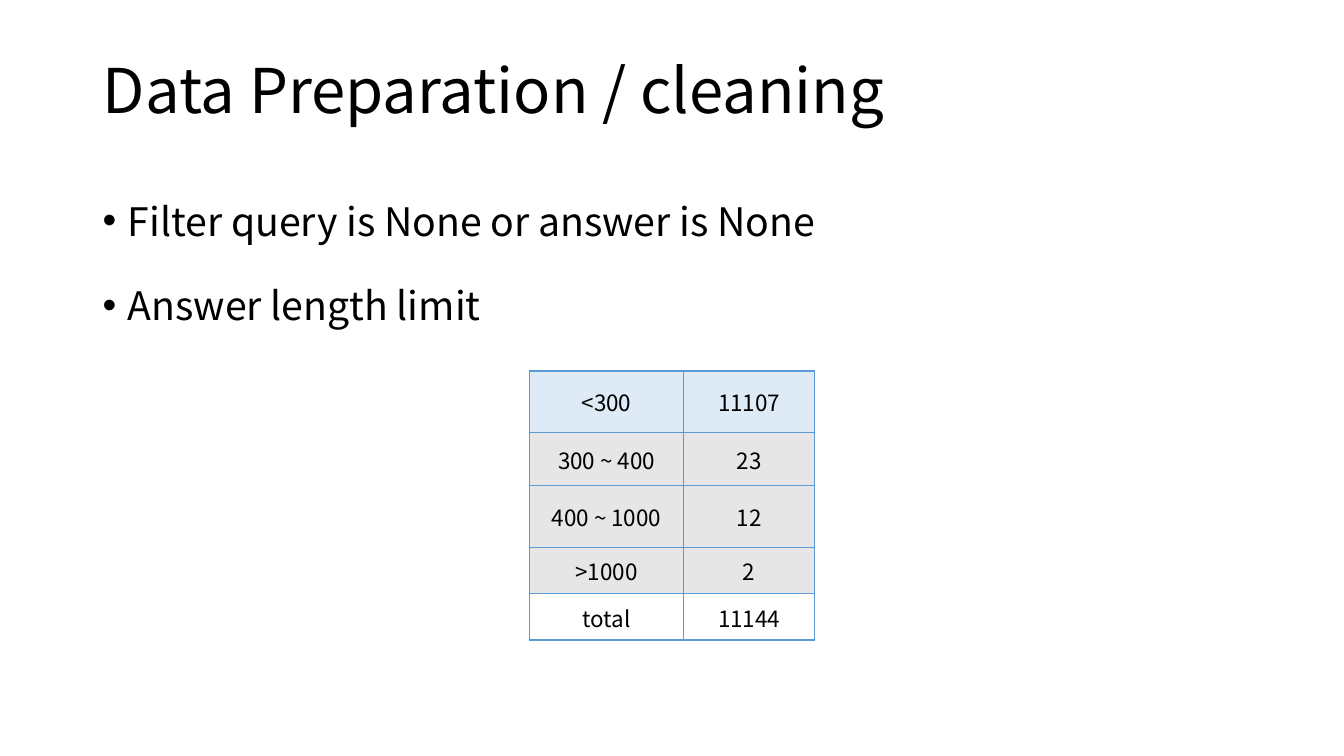
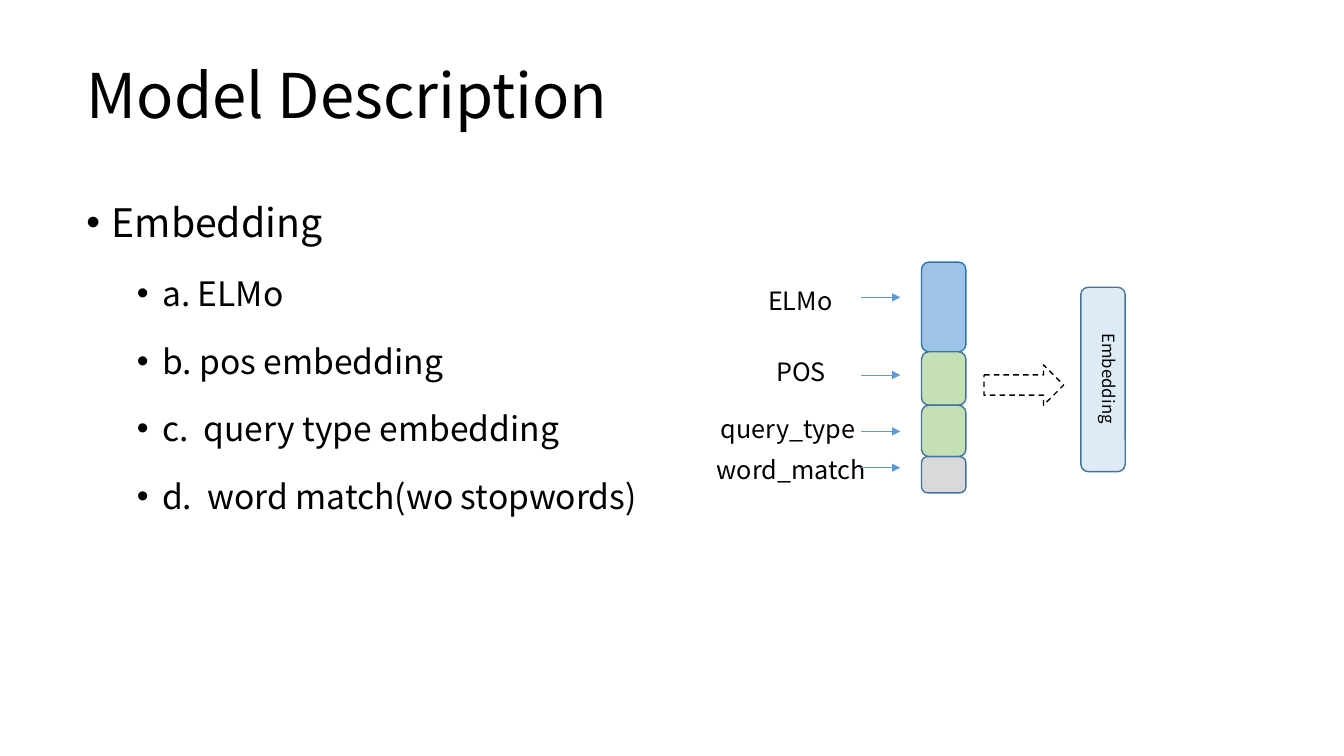
from dataclasses import dataclass
from typing import Any

from lxml.etree import SubElement
from pptx import Presentation
from pptx.dml.color import RGBColor
from pptx.enum.dml import MSO_LINE
from pptx.enum.shapes import MSO_CONNECTOR, MSO_SHAPE
from pptx.enum.text import MSO_ANCHOR, MSO_AUTO_SIZE, PP_ALIGN
from pptx.oxml import parse_xml
from pptx.oxml.ns import nsdecls, qn
from pptx.util import Inches, Pt

FONT = "Noto Sans CJK SC"
BLACK, BLUE, EDGE = "000000", "5B9BD5", "43739E"
PALE, GREEN, GREY = "DEEBF7", "C5E0B4", "E7E6E6"
TITLE = {"word_wrap": True, "auto_size": MSO_AUTO_SIZE.NONE,
         "vertical_anchor": MSO_ANCHOR.MIDDLE}
LABEL = {"word_wrap": True, "auto_size": MSO_AUTO_SIZE.SHAPE_TO_FIT_TEXT}
CELL = {"margin_left": Inches(0.01), "margin_right": Inches(0.01),
        "margin_top": Inches(0.01), "margin_bottom": 0,
        "vertical_anchor": MSO_ANCHOR.MIDDLE}


@dataclass
class Box:
    """A place on the slide, in inches."""
    left: float
    top: float
    width: float
    height: float

    def spans(self) -> list[int]:
        """Give the four lengths as slide units."""
        return [Inches(n) for n in (self.left, self.top, self.width, self.height)]


@dataclass
class Item:
    """A bulleted line of text."""
    text: str
    level: int = 0
    space: float = 1.5


@dataclass
class Part:
    """A block of the embedding stack, with its label and arrow."""
    name: str
    height: float
    fill: str
    left: float
    top: float
    arrow: float
    edge: str = EDGE


def apply(target: Any, values: dict[str, Any]) -> None:
    """Set each attribute named in a dict of values."""
    for name, value in values.items():
        setattr(target, name, value)


def color(code: str) -> RGBColor:
    """Turn a hex string into a colour."""
    return RGBColor.from_string(code)


def write(para: Any, text: str, size: float, **form: Any) -> None:
    """Write one run in the deck's font and format its paragraph."""
    run = para.add_run()
    run.text = text
    apply(run.font, {"name": FONT, "size": Pt(size)})
    run.font.color.rgb = color(BLACK)
    apply(para, form)


def start(deck: Any, text: str, left: float, top: float) -> Any:
    """Add a title-only slide and set its title."""
    slide = deck.slides.add_slide(deck.slide_layouts[5])
    title = slide.shapes.title
    spans = Box(left, top, 11.5, 1.45).spans()
    apply(title, dict(zip(("left", "top", "width", "height"), spans)))
    apply(title.text_frame, TITLE)
    write(title.text_frame.paragraphs[0], text, 44,
          alignment=PP_ALIGN.LEFT, line_spacing=0.9)
    return slide


def bullets(slide: Any, box: Box, items: list[Item]) -> None:
    """Add a text box of bulleted lines."""
    frame = slide.shapes.add_textbox(*box.spans()).text_frame
    frame.word_wrap = True
    for pos, item in enumerate(items):
        para = frame.add_paragraph() if pos else frame.paragraphs[0]
        write(para, item.text, 28 - 4 * item.level, level=item.level,
              line_spacing=item.space, space_before=Pt(10 - 5 * item.level))
        props = para._p.get_or_add_pPr()
        props.set("marL", str(Inches(0.25 + 0.5 * item.level)))
        props.set("indent", str(Inches(-0.25)))
        SubElement(props, qn("a:buFont")).set("typeface", "Arial")
        SubElement(props, qn("a:buChar")).set("char", "•")


def border(cell: Any) -> None:
    """Draw a thin blue line on all four sides of a cell."""
    props = cell._tc.get_or_add_tcPr()
    for pos, side in enumerate("LRTB"):
        props.insert(pos, parse_xml(
            f'<a:ln{side} {nsdecls("a")} w="{Pt(1)}"><a:solidFill>'
            f'<a:srgbClr val="{BLUE}"/></a:solidFill></a:ln{side}>'))


def grid(slide: Any, box: Box, cols: list[float], rows: list[float],
         data: list[tuple[str, str]], fills: list[str]) -> None:
    """Add the table of counts; an empty fill leaves a row clear."""
    table = slide.shapes.add_table(len(rows), len(cols), *box.spans()).table
    for col, width in zip(table.columns, cols):
        col.width = Inches(width)
    for row, height, texts, fill in zip(table.rows, rows, data, fills):
        row.height = Inches(height)
        for cell, text in zip(row.cells, texts):
            apply(cell, CELL)
            write(cell.text_frame.paragraphs[0], text, 16,
                  alignment=PP_ALIGN.CENTER)
            if fill:
                cell.fill.solid()
                cell.fill.fore_color.rgb = color(fill)
            else:
                cell.fill.background()
            border(cell)


def block(slide: Any, box: Box, fill: str, edge: str = EDGE,
          kind: MSO_SHAPE = MSO_SHAPE.ROUNDED_RECTANGLE) -> Any:
    """Add an outlined shape; an empty fill leaves it clear."""
    shape = slide.shapes.add_shape(kind, *box.spans())
    shape.shadow.inherit = False
    if fill:
        shape.fill.solid()
        shape.fill.fore_color.rgb = color(fill)
    else:
        shape.fill.background()
    shape.line.color.rgb = color(edge)
    shape.line.width = Pt(1)
    return shape


def label(slide: Any, box: Box, text: str, size: float) -> Any:
    """Add a plain text label and give its frame."""
    frame = slide.shapes.add_textbox(*box.spans()).text_frame
    apply(frame, LABEL)
    write(frame.paragraphs[0], text, size)
    return frame


def arrow(slide: Any, left: float, right: float, top: float) -> None:
    """Add a thin level arrow that points right."""
    ends = [Inches(n) for n in (left, top, right, top)]
    link = slide.shapes.add_connector(MSO_CONNECTOR.STRAIGHT, *ends)
    link.line.color.rgb = color(BLUE)
    link.line.width = Pt(0.5)
    SubElement(link.line._get_or_add_ln(), qn("a:tailEnd")).set("type", "triangle")
    SubElement(link._element.spPr, qn("a:effectLst"))


def cleaning(deck: Any) -> None:
    """Build the data preparation slide."""
    slide = start(deck, "Data Preparation / cleaning", 0.92, 0.2)
    bullets(slide, Box(0.92, 1.67, 11.5, 4.76), [
        Item("Filter query is None or answer is None"),
        Item("Answer length limit")])
    counts = [("<300", "11107"), ("300 ~ 400", "23"), ("400 ~ 1000", "12"),
              (">1000", "2"), ("total", "11144")]
    grid(slide, Box(5.25, 3.68, 2.83, 2.67), [1.53, 1.3],
         [0.61, 0.53, 0.61, 0.46, 0.46], counts, [PALE, GREY, GREY, GREY, ""])


def model(deck: Any) -> None:
    """Build the model description slide."""
    slide = start(deck, "Model Description", 0.76, 0.25)
    names = ["a. ELMo", "b. pos embedding", "c.  query type embedding",
             "d.  word match(wo stopwords)"]
    bullets(slide, Box(0.76, 1.97, 11.5, 4.76),
            [Item("Embedding", space=0.9)] + [Item(name, 1) for name in names])
    parts = [Part("ELMo", 0.89, "9DC3E6", 7.52, 2.78, 2.95, "2E75B6"),
             Part("POS", 0.53, GREEN, 7.6, 3.49, 3.72),
             Part("query_type", 0.51, GREEN, 7.05, 4.05, 4.28),
             Part("word_match", 0.36, "D9D9D9", 7.01, 4.46, 4.64)]
    top = 2.6
    for part in parts:
        block(slide, Box(9.14, top, 0.44, part.height), part.fill, part.edge)
        label(slide, Box(part.left, part.top, 3.07, 0.4), part.name, 18)
        arrow(slide, 8.54, 8.93, part.arrow)
        top += part.height
    block(slide, Box(10.72, 2.85, 0.44, 1.83), PALE)
    step = block(slide, Box(9.76, 3.62, 0.79, 0.4), "", BLACK,
                 MSO_SHAPE.RIGHT_ARROW)
    step.line.dash_style = MSO_LINE.DASH
    frame = label(slide, Box(10.75, 3.21, 0.4, 1.25), "Embedding", 12)
    frame._txBody.bodyPr.set("vert", "eaVert")


def main() -> None:
    """Build and save the deck."""
    deck = Presentation()
    apply(deck, {"slide_width": Inches(13.33), "slide_height": Inches(7.5)})
    cleaning(deck)
    model(deck)
    deck.save("out.pptx")


main()
